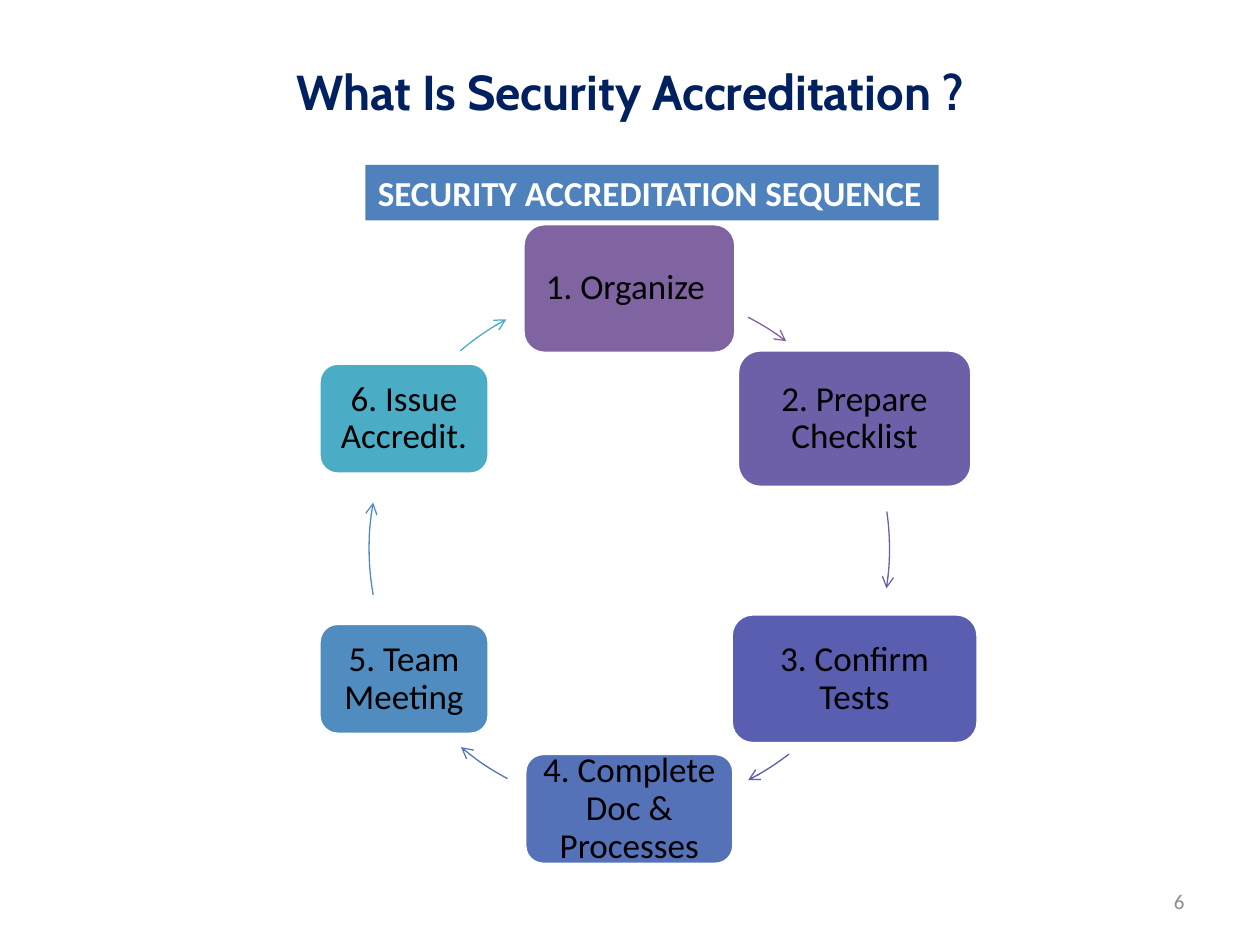
"""Build the security accreditation cycle slide."""
import math
from dataclasses import dataclass

from lxml import etree
from pptx import Presentation
from pptx import util as u
from pptx.dml.color import RGBColor
from pptx.enum import shapes, text
from pptx.oxml.ns import qn

COLUMNS = 100
RING_X, RING_Y, RING_RADIUS = 49.95, 43.55, 20.65
LEFT, CENTER, RIGHT = text.PP_ALIGN.LEFT, text.PP_ALIGN.CENTER, text.PP_ALIGN.RIGHT


@dataclass(frozen=True)
class Area:
    """Rectangle in grid columns and rows."""
    left: float
    top: float
    width: float
    height: float


@dataclass(frozen=True)
class Lettering:
    """Look of a piece of text."""
    size: float
    color: str
    font: str = "Calibri"
    bold: bool = False
    align: text.PP_ALIGN = CENTER
    inset: float = 0.1
    spacing: float = 1.0


@dataclass(frozen=True)
class Step:
    """Stage of the cycle, with the arc in degrees that leads on from it."""
    label: str
    width: float
    height: float
    color: str
    arc_start: float
    arc_end: float


TITLE = Lettering(28, "002060", "Cabin", True)
BANNER = Lettering(20, "FFFFFF", bold=True, align=LEFT)
STEP = Lettering(20, "000000", inset=0.08, spacing=0.9)
PAGE_NUMBER = Lettering(12, "8C8C8C", align=RIGHT)

STEPS = [
    Step("1. Organize ", 16.9, 10.3, "8064A2", 297.2, 307.1),
    Step("2. Prepare Checklist", 18.6, 10.9, "6E5FA9", 351.8, 8.8),
    Step("3. Confirm Tests", 19.6, 10.3, "5A5EB1", 52.1, 62.8),
    Step("4. Complete Doc & Processes", 16.6, 8.8, "5572B8", 117.9, 130.3),
    Step("5. Team Meeting", 13.5, 8.8, "508CBF", 169.8, 190.2),
    Step("6. Issue Accredit.", 13.5, 8.8, "4BACC6", 229.5, 241.8),
]

deck = Presentation()
deck.slide_width, deck.slide_height = u.Inches(10), u.Inches(7.5)
slide = deck.slides.add_slide(deck.slide_layouts[6])


def rgb(color: str) -> RGBColor:
    """Turn a hex string into a colour."""
    return RGBColor.from_string(color)


def place(area: Area) -> list[int]:
    """Convert grid cells to slide lengths."""
    cell = deck.slide_width / COLUMNS
    return [round(n * cell) for n in (area.left, area.top, area.width, area.height)]


def around(x: float, y: float, width: float, height: float) -> Area:
    """Give the area centred on a point."""
    return Area(x - width / 2, y - height / 2, width, height)


def write(shape, words: str, look: Lettering) -> None:
    """Put formatted text into a shape."""
    frame = shape.text_frame
    frame.text = words
    frame.word_wrap = True
    frame.vertical_anchor = text.MSO_ANCHOR.MIDDLE
    frame.margin_left = frame.margin_right = u.Inches(look.inset)
    frame.margin_top = frame.margin_bottom = u.Inches(min(look.inset, 0.08))
    paragraph = frame.paragraphs[0]
    paragraph.alignment = look.align
    paragraph.line_spacing = look.spacing
    font = paragraph.runs[0].font
    font.name, font.size, font.bold = look.font, u.Pt(look.size), look.bold
    font.color.rgb = rgb(look.color)


def add_words(area: Area, words: str, look: Lettering) -> None:
    """Add a text box."""
    write(slide.shapes.add_textbox(*place(area)), words, look)


def add_block(kind: shapes.MSO_SHAPE, area: Area, color: str):
    """Add a filled shape without shadow or outline."""
    block = slide.shapes.add_shape(kind, *place(area))
    block.shadow.inherit = False
    block.fill.solid()
    block.fill.fore_color.rgb = rgb(color)
    block.line.fill.background()
    return block


def add_step(step: Step, angle: float) -> None:
    """Add a stage box at an angle on the ring."""
    x = RING_X + RING_RADIUS * math.cos(math.radians(angle))
    y = RING_Y + RING_RADIUS * math.sin(math.radians(angle))
    box = add_block(shapes.MSO_SHAPE.ROUNDED_RECTANGLE,
                    around(x, y, step.width, step.height), step.color)
    box.line.color.rgb = rgb("FFFFFF")
    box.line.width = u.Pt(2)
    write(box, step.label, STEP)


def add_arc(step: Step) -> None:
    """Add the arrow along the ring to the next stage."""
    ring = around(RING_X, RING_Y, 2 * RING_RADIUS, 2 * RING_RADIUS)
    arc = slide.shapes.add_shape(shapes.MSO_SHAPE.ARC, *place(ring))
    arc.shadow.inherit = False
    arc.fill.background()
    for index, degrees in enumerate((step.arc_start, step.arc_end)):
        arc.adjustments[index] = degrees * 60000 / 100000
    arc.line.color.rgb = rgb(step.color)
    arc.line.width = u.Pt(0.75)
    outline = arc.line._get_or_add_ln()
    etree.SubElement(outline, qn("a:tailEnd"), type="arrow")


def main() -> None:
    """Draw the slide and save it."""
    add_words(Area(71.7, 69.5, 23.3, 4), "6", PAGE_NUMBER)
    add_words(Area(5, 2.3, 90, 9.8), "What Is Security Accreditation ?", TITLE)
    for index, step in enumerate(STEPS):
        add_step(step, index * 360 / len(STEPS) - 90)
        add_arc(step)
    banner = add_block(shapes.MSO_SHAPE.RECTANGLE, Area(29, 13.1, 45.5, 4.4), "4F81BD")
    write(banner, "SECURITY ACCREDITATION SEQUENCE", BANNER)
    deck.save("out.pptx")


if __name__ == "__main__":
    main()
